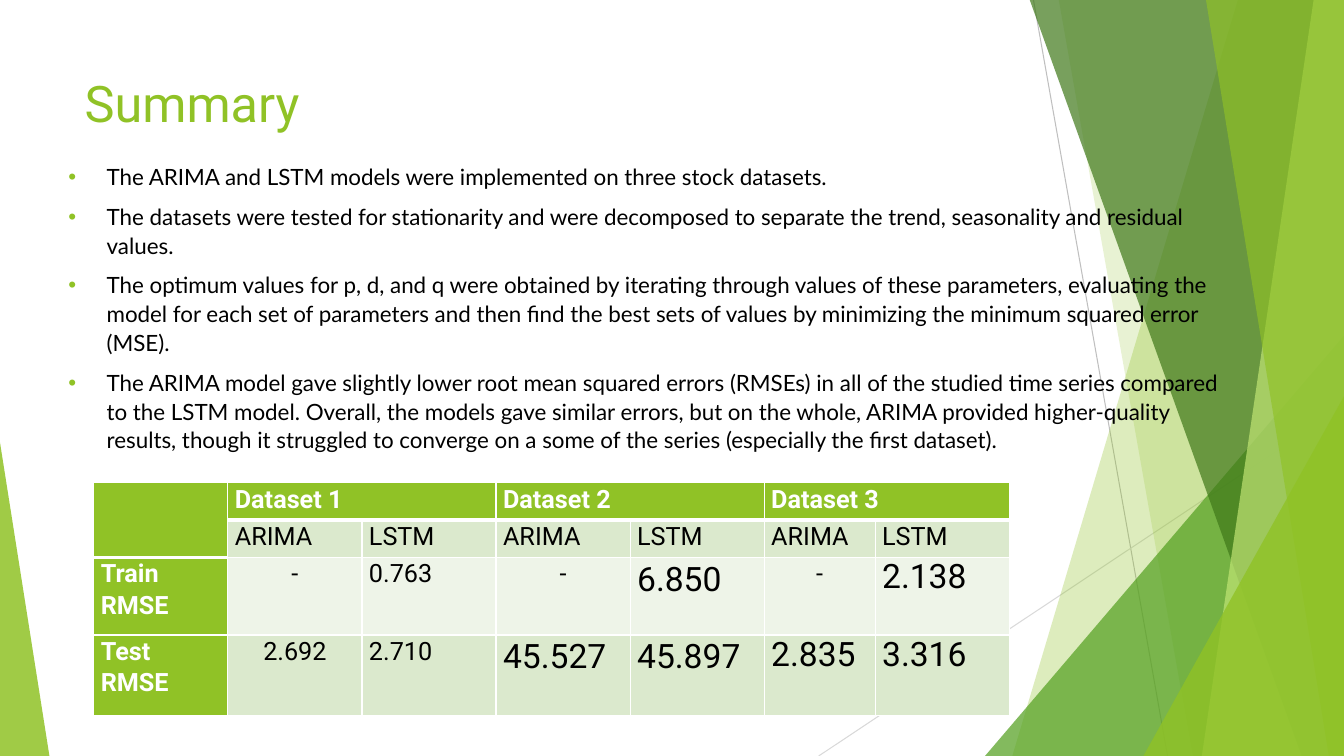
from lxml import etree
from pptx import Presentation
from pptx.dml.color import RGBColor
from pptx.enum.shapes import MSO_CONNECTOR, MSO_SHAPE
from pptx.enum.text import MSO_ANCHOR, MSO_AUTO_SIZE, PP_ALIGN
from pptx.oxml.ns import qn
from pptx.util import Inches, Pt


def paint(fill, color, alpha=100):
    fill.solid()
    fill.fore_color.rgb = RGBColor.from_string(color)
    if alpha < 100:
        clr = fill._xPr.find(qn("a:solidFill"))[0]
        etree.SubElement(clr, qn("a:alpha"), val=str(alpha * 1000))


def add_run(p, text, size, font, color, bold=False):
    r = p.add_run()
    r.text = text
    r.font.size = Pt(size)
    r.font.name = font
    r.font.bold = bold
    paint(r.font.fill, color)


GREEN = "90C226"
WHITE = "FFFFFF"
BLACK = "000000"

prs = Presentation()
prs.slide_width = Inches(13.33)
prs.slide_height = Inches(7.5)
s = prs.slides.add_slide(prs.slide_layouts[5])

for x1, y1, x2, y2, color in [
    (10.25, 0, 11.58, 7.5, "BFBFBF"),
    (13.33, 4.03, 8.12, 7.5, "D9D9D9"),
]:
    line = s.shapes.add_connector(
        MSO_CONNECTOR.STRAIGHT, Inches(x1), Inches(y1), Inches(x2), Inches(y2))
    line.line.width = Pt(0.75)
    paint(line.line.fill, color)
    etree.SubElement(line._element.spPr, qn("a:effectLst"))

facets = [
    ("band", 12.28, 10.04, GREEN, 30),
    ("band", 10.5, 11.83, GREEN, 20),
    ("triangle", 9.77, 3.33, 3.56, 1, "54A021", 72),
    ("band", 10.21, 12.91, "3F7819", 70),
    ("band", 13.03, 11.92, "C0E474", 70),
    ("band", 11.96, 13.18, GREEN, 65),
    ("triangle", 11.34, 3.93, 1.99, 1, GREEN, 80),
    ("triangle", 0, 4.39, 0.49, 0, GREEN, 85),
]
for kind, *geometry, color, alpha in facets:
    if kind == "band":
        top_x, bottom_x = geometry
        fb = s.shapes.build_freeform(Inches(top_x), Inches(-0.01))
        fb.add_line_segments([
            (Inches(13.33), Inches(-0.01)),
            (Inches(13.33), Inches(7.5)),
            (Inches(bottom_x), Inches(7.5)),
        ])
        sp = fb.convert_to_shape()
    else:
        x, y, w, apex = geometry
        sp = s.shapes.add_shape(
            MSO_SHAPE.ISOSCELES_TRIANGLE,
            Inches(x), Inches(y), Inches(w), Inches(7.5 - y))
        sp.adjustments[0] = apex
    paint(sp.fill, color, alpha)
    sp.line.fill.background()
    sp.shadow.inherit = False

title = s.shapes.title
title.left, title.top = Inches(0.74), Inches(0.67)
title.width, title.height = Inches(9.4), Inches(1.44)
tf = title.text_frame
tf.auto_size = MSO_AUTO_SIZE.NONE
tf.vertical_anchor = MSO_ANCHOR.TOP
p = tf.paragraphs[0]
p.alignment = PP_ALIGN.LEFT
add_run(p, "Summary", 36, "Roboto", GREEN)

bullets = [
    "The ARIMA and LSTM models were implemented on three stock datasets.",
    "The datasets were tested for stationarity and were decomposed to separate "
    "the trend, seasonality and residual values.",
    "The optimum values for p, d, and q were obtained by iterating through values "
    "of these parameters, evaluating the model for each set of parameters and then "
    "find the best sets of values by minimizing the minimum squared error (MSE).",
    "The ARIMA model gave slightly lower root mean squared errors (RMSEs) in all of "
    "the studied time series compared to the LSTM model. Overall, the models gave "
    "similar errors, but on the whole, ARIMA provided higher-quality results, though "
    "it struggled to converge on a some of the series (especially the first dataset).",
]
tf = s.shapes.add_textbox(
    Inches(0.58), Inches(1.55), Inches(11.82), Inches(4.24)).text_frame
tf.word_wrap = True
for i, text in enumerate(bullets):
    p = tf.add_paragraph() if i else tf.paragraphs[0]
    p.line_spacing = 1.07
    p.space_after = Pt(8)
    pPr = p._p.get_or_add_pPr()
    pPr.set("marL", str(Inches(0.38)))
    pPr.set("indent", str(Inches(-0.38)))
    buClr = etree.SubElement(pPr, qn("a:buClr"))
    etree.SubElement(buClr, qn("a:srgbClr"), val=GREEN)
    etree.SubElement(pPr, qn("a:buFont"), typeface="Arial")
    etree.SubElement(pPr, qn("a:buChar"), char="•")
    add_run(p, text, 16, "Lato", BLACK)

rows = [
    ["", "Dataset 1", "", "Dataset 2", "", "Dataset 3", ""],
    [""] + ["ARIMA", "LSTM"] * 3,
    ["Train RMSE", "-", "0.763", "-", "6.850", "-", "2.138"],
    ["Test RMSE", "2.692", "2.710", "45.527", "45.897", "2.835", "3.316"],
]
widths = [1.33, 1.33, 1.33, 1.33, 1.33, 1.1, 1.33]
heights = [0.37, 0.37, 0.77, 0.8]
row_fills = [GREEN, "DBE9CD", "EEF4E8", "DBE9CD"]
table = s.shapes.add_table(
    4, 7, Inches(0.93), Inches(4.79), Inches(9.06), Inches(2.32)).table
table.horz_banding = False
for column, width in zip(table.columns, widths):
    column.width = Inches(width)
for row, height in zip(table.rows, heights):
    row.height = Inches(height)

for i, values in enumerate(rows):
    for j, value in enumerate(values):
        cell = table.cell(i, j)
        cell.margin_left = cell.margin_right = Inches(0.07)
        cell.margin_top = cell.margin_bottom = 0
        heading = i == 0 or j == 0
        under_heading = i == 0 or (i == 1 and j == 0)
        tcPr = cell._tc.get_or_add_tcPr()
        for side in "LRTB":
            width = 3 if side == "B" and under_heading else 1
            ln = etree.SubElement(tcPr, qn(f"a:ln{side}"), w=str(Pt(width)))
            solid = etree.SubElement(ln, qn("a:solidFill"))
            etree.SubElement(solid, qn("a:srgbClr"), val=WHITE)
        paint(cell.fill, GREEN if heading else row_fills[i])
        if not value:
            continue
        large = i > 1 and j > 2 and value != "-"
        p = cell.text_frame.paragraphs[0]
        p.line_spacing = 1.0 if large and j > 4 else 1.07
        if value == "-" or (i == 3 and j == 1):
            p.alignment = PP_ALIGN.CENTER
        add_run(p, value, 24 if large else 18, "Roboto",
                WHITE if heading else BLACK, heading)

table.cell(0, 0).merge(table.cell(1, 0))
for j in (1, 3, 5):
    table.cell(0, j).merge(table.cell(0, j + 1))

prs.save("out.pptx")
